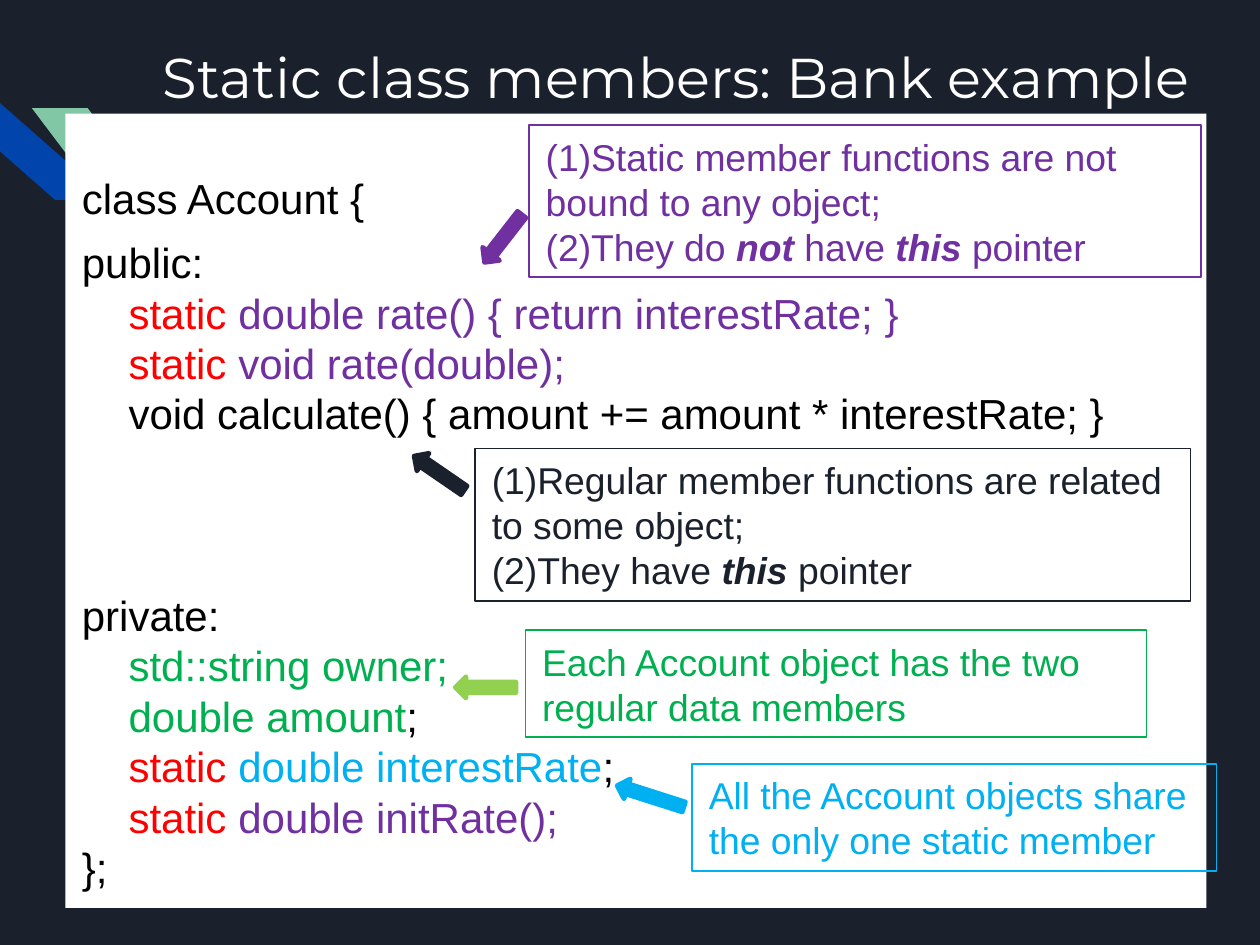
from dataclasses import dataclass

import pptx
import pptx.dml.color
import pptx.enum.shapes
import pptx.enum.text
import pptx.util

Pt = pptx.util.Pt
Shapes = pptx.enum.shapes.MSO_SHAPE
Anchor = pptx.enum.text.MSO_ANCHOR

NAVY, WHITE, BLACK = "1B212C", "FFFFFF", "000000"
RED, PURPLE, GREEN, BLUE, LIME = "FF0000", "7030A0", "00B050", "00B0F0", "92D050"


@dataclass
class Span:
    text: str
    color: str = BLACK
    strong: bool = False


@dataclass
class Line:
    spans: list[Span]
    indent: float = 0
    before: float = 0
    after: float = 0


@dataclass
class Frame:
    left: float
    top: float
    width: float
    height: float
    rotation: float = 0


@dataclass
class Callout:
    frame: Frame
    color: str
    lines: list[list[str]]


@dataclass
class Arrow:
    frame: Frame
    color: str


INDENT = 20
CODE_PITCH = 21.6
NOTE_PITCH = 19.3
STATIC = Span("static ", RED)

CODE = [
    Line([Span("class Account {")], after=6),
    Line([Span("public:")]),
    Line([STATIC, Span("double rate() { return interestRate; }", PURPLE)], INDENT),
    Line([STATIC, Span("void rate(double);", PURPLE)], INDENT),
    Line([Span("void calculate() { amount += amount * interestRate; }")], INDENT),
    Line([Span("private:")], before=3 * CODE_PITCH),
    Line([Span("std::string owner;", GREEN)], INDENT),
    Line([Span("double amount", GREEN), Span(";")], INDENT),
    Line([STATIC, Span("double interestRate", BLUE), Span(";")], INDENT),
    Line([STATIC, Span("double initRate();", PURPLE)], INDENT),
    Line([Span("};")]),
]

CALLOUTS = [
    Callout(Frame(225.2, 270, 266.2, 46), GREEN,
            [["Each Account object has the two regular data members"]]),
    Callout(Frame(296.7, 327.3, 224.7, 46), BLUE,
            [["All the Account objects share the only one static member"]]),
    Callout(Frame(226.8, 53.6, 287.8, 65.3), PURPLE,
            [["(1)Static member functions are not bound to any object;"],
             ["(2)They do ", "not ", "have ", "this ", "pointer"]]),
    Callout(Frame(203.7, 192.2, 306.5, 65.3), NAVY,
            [["(1)Regular member functions are related to some object;"],
             ["(2)They have ", "this ", "pointer"]]),
]

ARROWS = [
    Arrow(Frame(195.1, 290, 26, 9.2, 180), LIME),
    Arrow(Frame(202.6, 97.6, 26, 9.2, 127.9), PURPLE),
    Arrow(Frame(263.8, 336.8, 30, 9, 197.7), BLUE),
    Arrow(Frame(175.2, 198.2, 26, 9.2, 214.5), NAVY),
]


def rgb(color: str) -> pptx.dml.color.RGBColor:
    return pptx.dml.color.RGBColor.from_string(color)


def add_box(slide, kind, frame: Frame, fill: str = "", line: str = "", weight: float = 0.75):
    box = slide.shapes.add_shape(
        kind, Pt(frame.left), Pt(frame.top), Pt(frame.width), Pt(frame.height))
    box.rotation = frame.rotation
    box.shadow.inherit = False
    if fill:
        box.fill.solid()
        box.fill.fore_color.rgb = rgb(fill)
    else:
        box.fill.background()
    if line:
        box.line.color.rgb = rgb(line)
        box.line.width = Pt(weight)
    else:
        box.line.fill.background()
    return box


def write(box, lines: list[Line], size: float, font: str = "Arial", pitch: float = 0,
          anchor=Anchor.TOP, top: float = 3.6) -> None:
    text = box.text_frame
    text.word_wrap = True
    text.vertical_anchor = anchor
    text.margin_top = Pt(top)
    for number, line in enumerate(lines):
        para = text.add_paragraph() if number else text.paragraphs[0]
        para.alignment = pptx.enum.text.PP_ALIGN.LEFT
        para.space_before = Pt(line.before)
        para.space_after = Pt(line.after)
        if pitch:
            para.line_spacing = Pt(pitch)
        if line.indent:
            para._p.get_or_add_pPr().set("marL", str(Pt(line.indent)))
        for span in line.spans:
            run = para.add_run()
            run.text = span.text
            run.font.name = font
            run.font.size = Pt(size)
            run.font.color.rgb = rgb(span.color)
            run.font.bold = run.font.italic = span.strong


def add_callout(slide, callout: Callout) -> None:
    box = add_box(slide, Shapes.RECTANGLE, callout.frame, line=callout.color)
    lines = [Line([Span(text, callout.color, text in ("not ", "this ")) for text in texts])
             for texts in callout.lines]
    write(box, lines, 16, pitch=NOTE_PITCH, anchor=Anchor.MIDDLE)


def add_stripes(slide) -> None:
    add_box(slide, Shapes.DIAGONAL_STRIPE, Frame(2.85, 41.3, 41.5, 47.2, 270), "0145AC")
    green = add_box(slide, Shapes.DIAGONAL_STRIPE, Frame(13.7, 46.3, 47.8, 63.4), "82C7A5")
    green._element.spPr.get_or_add_xfrm().set("flipH", "1")


def main() -> None:
    deck = pptx.Presentation()
    deck.slide_width, deck.slide_height = Pt(540), Pt(405)
    page = deck.slides.add_slide(deck.slide_layouts[6])
    page.background.fill.solid()
    page.background.fill.fore_color.rgb = rgb(NAVY)

    add_stripes(page)
    title = page.shapes.add_textbox(Pt(64.8), Pt(13), Pt(469.4), Pt(54))
    title.text_frame.margin_left = title.text_frame.margin_right = Pt(5)
    write(title, [Line([Span("Static class members: Bank example", WHITE)])],
          24, "Montserrat", top=5)
    panel = add_box(page, Shapes.RECTANGLE, Frame(28, 48.7, 489, 340.5), WHITE)
    write(panel, CODE, 18, pitch=CODE_PITCH, top=3.6 + CODE_PITCH)
    for callout in CALLOUTS:
        add_callout(page, callout)
    for arrow in ARROWS:
        add_box(page, Shapes.RIGHT_ARROW, arrow.frame, arrow.color, arrow.color, 2)
    deck.save("out.pptx")


if __name__ == "__main__":
    main()
